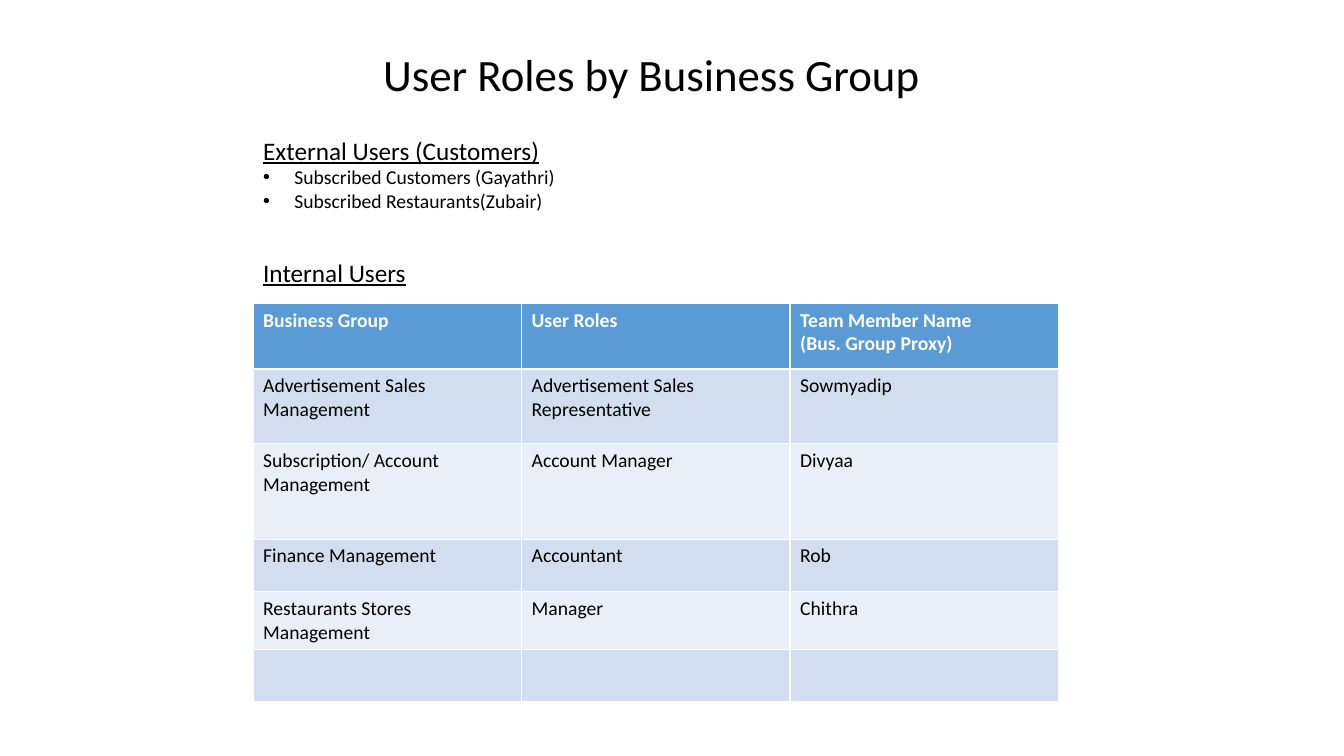
from lxml import etree
from pptx import Presentation
from pptx.dml.color import RGBColor
from pptx.enum.text import MSO_ANCHOR, MSO_AUTO_SIZE, PP_ALIGN
from pptx.oxml.ns import qn
from pptx.util import Inches, Pt

LEFT = PP_ALIGN.LEFT
TOP = MSO_ANCHOR.TOP
NO_FIT = MSO_AUTO_SIZE.NONE

BLACK = RGBColor(0x00, 0x00, 0x00)
WHITE = RGBColor(0xFF, 0xFF, 0xFF)
HEADER_BLUE = RGBColor(0x5B, 0x9B, 0xD5)
BAND_COLORS = (RGBColor(0xEA, 0xEF, 0xF7), RGBColor(0xD2, 0xDE, 0xEF))

FONT = "Calibri"
SLIDE_WIDTH = Inches(13.33)
SLIDE_HEIGHT = Inches(7.5)
BULLET_INDENT = Inches(0.31)
MARGIN = 18.83
TWO_CONTENT_LAYOUT = 3

ROLE_ROWS = (
    ("Business Group", "User Roles", "Team Member Name\n(Bus. Group Proxy)"),
    ("Advertisement Sales Management", "Advertisement Sales Representative", "Sowmyadip"),
    ("Subscription/ Account Management", "Account Manager", "Divyaa"),
    ("Finance Management", "Accountant", "Rob"),
    ("Restaurants Stores Management", "Manager", "Chithra"),
    ("", "", ""),
)
ROW_HEIGHTS = (8.67, 9.87, 12.67, 6.93, 6.93, 6.93)


def across(percent):
    return round(SLIDE_WIDTH * percent / 100)


def down(percent):
    return round(SLIDE_HEIGHT * percent / 100)


def place(shape, left, top, width, height):
    shape.left, shape.top = across(left), down(top)
    shape.width, shape.height = across(width), down(height)
    frame = shape.text_frame
    frame.word_wrap = False
    frame.auto_size = NO_FIT
    frame.vertical_anchor = TOP
    return frame


def add_run(paragraph, text, size, color=BLACK, bold=False, underline=False):
    run = paragraph.add_run()
    run.text = text
    font = run.font
    font.name, font.size, font.bold, font.underline = FONT, Pt(size), bold, underline
    font.color.rgb = color


def set_bullet(paragraph, character=None):
    paragraph.alignment = LEFT
    paragraph.space_before = Pt(0)
    indent = BULLET_INDENT if character else 0
    properties = paragraph._p.get_or_add_pPr()
    properties.set("marL", str(indent))
    properties.set("indent", str(-indent))
    if character:
        etree.SubElement(properties, qn("a:buFont")).set("typeface", "Arial")
        etree.SubElement(properties, qn("a:buChar")).set("char", character)
    else:
        etree.SubElement(properties, qn("a:buNone"))


def fill_title(shape, text):
    frame = place(shape, 27.76, 5.47, 41.79, 8.53)
    paragraph = frame.paragraphs[0]
    paragraph.alignment = LEFT
    add_run(paragraph, text, 32)


def fill_user_list(shape, top, width, height, heading, users=()):
    frame = place(shape, MARGIN, top, width, height)
    heading_paragraph = frame.paragraphs[0]
    set_bullet(heading_paragraph)
    add_run(heading_paragraph, heading, 18, underline=True)
    for user in users:
        paragraph = frame.add_paragraph()
        set_bullet(paragraph, "•")
        add_run(paragraph, user, 14)


def fill_cell(cell, text, is_header, fill_color):
    cell.fill.solid()
    cell.fill.fore_color.rgb = fill_color
    if not text:
        return
    frame = cell.text_frame
    for index, line in enumerate(text.split("\n")):
        paragraph = frame.add_paragraph() if index else frame.paragraphs[0]
        add_run(paragraph, line, 14, WHITE if is_header else BLACK, bold=is_header)


def add_role_table(slide):
    table = slide.shapes.add_table(
        len(ROLE_ROWS), len(ROLE_ROWS[0]),
        across(MARGIN), down(40.13), across(59.94), down(sum(ROW_HEIGHTS)),
    ).table
    for row_index, (texts, height) in enumerate(zip(ROLE_ROWS, ROW_HEIGHTS)):
        table.rows[row_index].height = down(height)
        is_header = row_index == 0
        fill_color = HEADER_BLUE if is_header else BAND_COLORS[row_index % 2]
        for column_index, text in enumerate(texts):
            fill_cell(table.cell(row_index, column_index), text, is_header, fill_color)


def main():
    presentation = Presentation()
    presentation.slide_width = SLIDE_WIDTH
    presentation.slide_height = SLIDE_HEIGHT
    layout = presentation.slide_layouts[TWO_CONTENT_LAYOUT]
    slide = presentation.slides.add_slide(layout)
    title, external, internal = slide.placeholders
    fill_title(title, "User Roles by Business Group")
    add_role_table(slide)
    fill_user_list(
        external, 17.2, 23.48, 11.73, "External Users (Customers)",
        ("Subscribed Customers (Gayathri)", "Subscribed Restaurants(Zubair)"),
    )
    fill_user_list(internal, 33.33, 12.23, 5.33, "Internal Users")
    presentation.save("out.pptx")


main()
